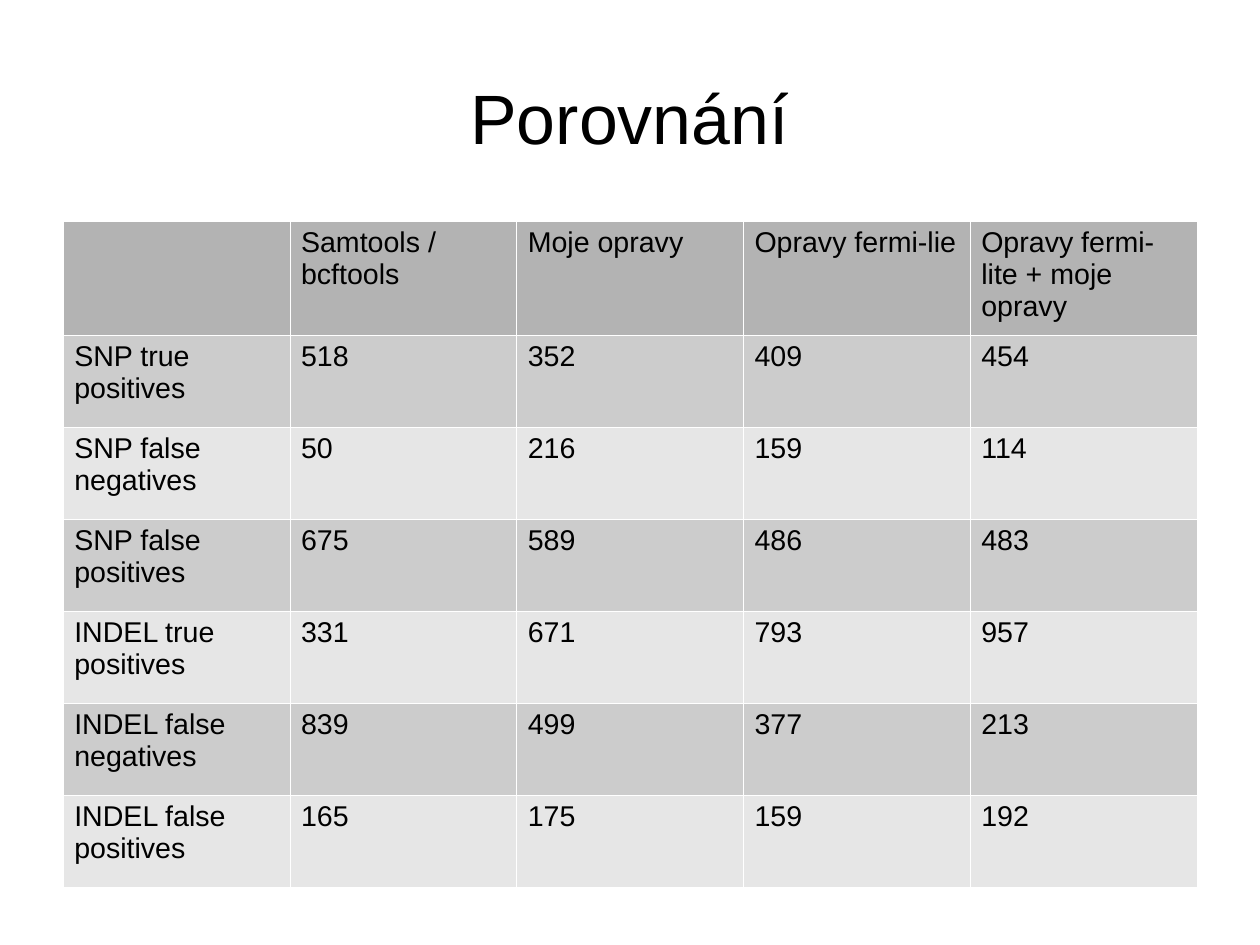
"""Builds a slide with a table comparing variant calling results."""
from dataclasses import dataclass

from lxml.etree import SubElement
from pptx import Presentation
from pptx.dml.color import RGBColor as Rgb
from pptx.enum.text import MSO_ANCHOR as Anchor, PP_ALIGN as Align
from pptx.oxml.ns import qn
from pptx.slide import Slide
from pptx.table import _Cell as Cell
from pptx.text.text import TextFrame
from pptx.util import Inches, Pt

COLORS = {
    "text": "000000",
    "border": "FFFFFF",
    "header": "B3B3B3",
    "odd": "CCCCCC",
    "even": "E6E6E6",
}
CM_PER_INCH = 2.54
SLIDE_WIDTH, SLIDE_HEIGHT = 28 / CM_PER_INCH, 21 / CM_PER_INCH
LEFT, WIDTH = 0.55, 9.92
TABLE_TOP, TABLE_HEIGHT, HEADER_HEIGHT = 1.93, 5.82, 0.99
RESULT_HEIGHT = (TABLE_HEIGHT - HEADER_HEIGHT) / 6


@dataclass(frozen=True)
class ResultRow:
    label: str
    values: tuple[str | int, ...]
    fill: str
    height: float = RESULT_HEIGHT


METHODS = ("Samtools / bcftools", "Moje opravy", "Opravy fermi-lie",
           "Opravy fermi-lite + moje opravy")
RESULTS = (
    ResultRow("", METHODS, "header", HEADER_HEIGHT),
    ResultRow("SNP true positives", (518, 352, 409, 454), "odd"),
    ResultRow("SNP false negatives", (50, 216, 159, 114), "even"),
    ResultRow("SNP false positives", (675, 589, 486, 483), "odd"),
    ResultRow("INDEL true positives", (331, 671, 793, 957), "even"),
    ResultRow("INDEL false negatives", (839, 499, 377, 213), "odd"),
    ResultRow("INDEL false positives", (165, 175, 159, 192), "even"),
)


def write_text(frame: TextFrame, text: str, *, size: float = 18,
               color: str = "text", align: Align = Align.LEFT) -> None:
    paragraph = frame.paragraphs[0]
    paragraph.alignment = align
    if not text:
        return
    run = paragraph.add_run()
    run.text = text
    run.font.name = "Arial"
    run.font.size = Pt(size)
    run.font.color.rgb = Rgb.from_string(COLORS[color])


def draw_borders(cell: Cell, color: str, width: float) -> None:
    properties = cell._tc.get_or_add_tcPr()
    for position, side in enumerate(("lnL", "lnR", "lnT", "lnB")):
        border = SubElement(properties, qn(f"a:{side}"), w=str(Pt(width)))
        fill = SubElement(border, qn("a:solidFill"))
        SubElement(fill, qn("a:srgbClr"), val=COLORS[color])
        properties.insert(position, border)


def draw_title(slide: Slide, text: str) -> None:
    title = slide.shapes.add_textbox(
        Inches(LEFT), Inches(0.33), Inches(WIDTH), Inches(1.38)).text_frame
    title.word_wrap = True
    title.vertical_anchor = Anchor.MIDDLE
    title.margin_left = title.margin_right = 0
    title.margin_top = title.margin_bottom = 0
    write_text(title, text, size=44, align=Align.CENTER)


def draw_results(slide: Slide, results: tuple[ResultRow, ...]) -> None:
    column_count = len(METHODS) + 1
    table = slide.shapes.add_table(
        len(results), column_count, Inches(LEFT), Inches(TABLE_TOP),
        Inches(WIDTH), Inches(TABLE_HEIGHT)).table
    for column in table.columns:
        column.width = Inches(WIDTH / column_count)
    for row, result in zip(table.rows, results):
        row.height = Inches(result.height)
        for cell, value in zip(row.cells, (result.label, *result.values)):
            cell.fill.solid()
            cell.fill.fore_color.rgb = Rgb.from_string(COLORS[result.fill])
            draw_borders(cell, "border", 0.06)
            write_text(cell.text_frame, str(value))


def main() -> None:
    presentation = Presentation()
    presentation.slide_width = Inches(SLIDE_WIDTH)
    presentation.slide_height = Inches(SLIDE_HEIGHT)
    slide = presentation.slides.add_slide(presentation.slide_layouts[6])
    draw_title(slide, "Porovnání")
    draw_results(slide, RESULTS)
    presentation.save("out.pptx")


if __name__ == "__main__":
    main()
